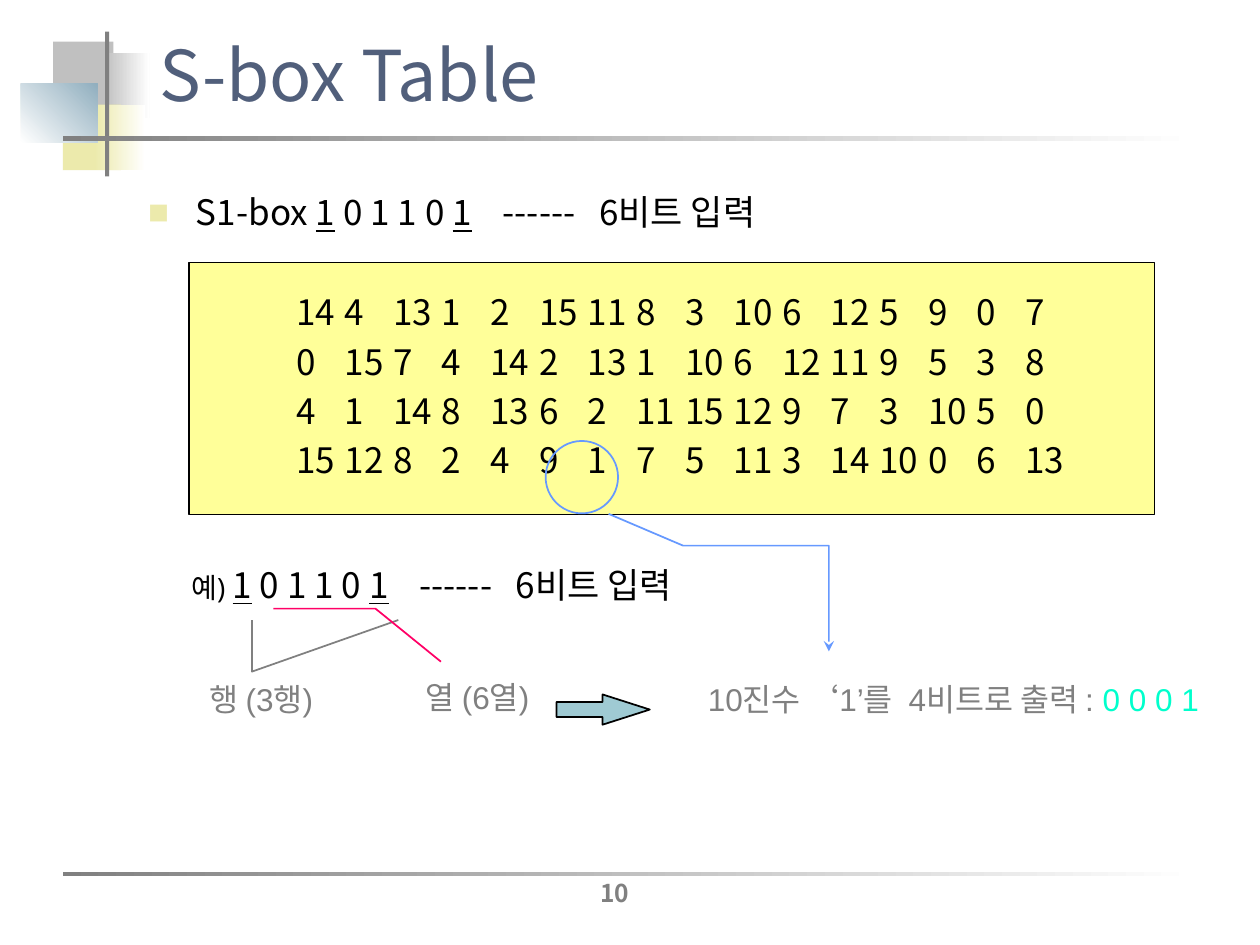
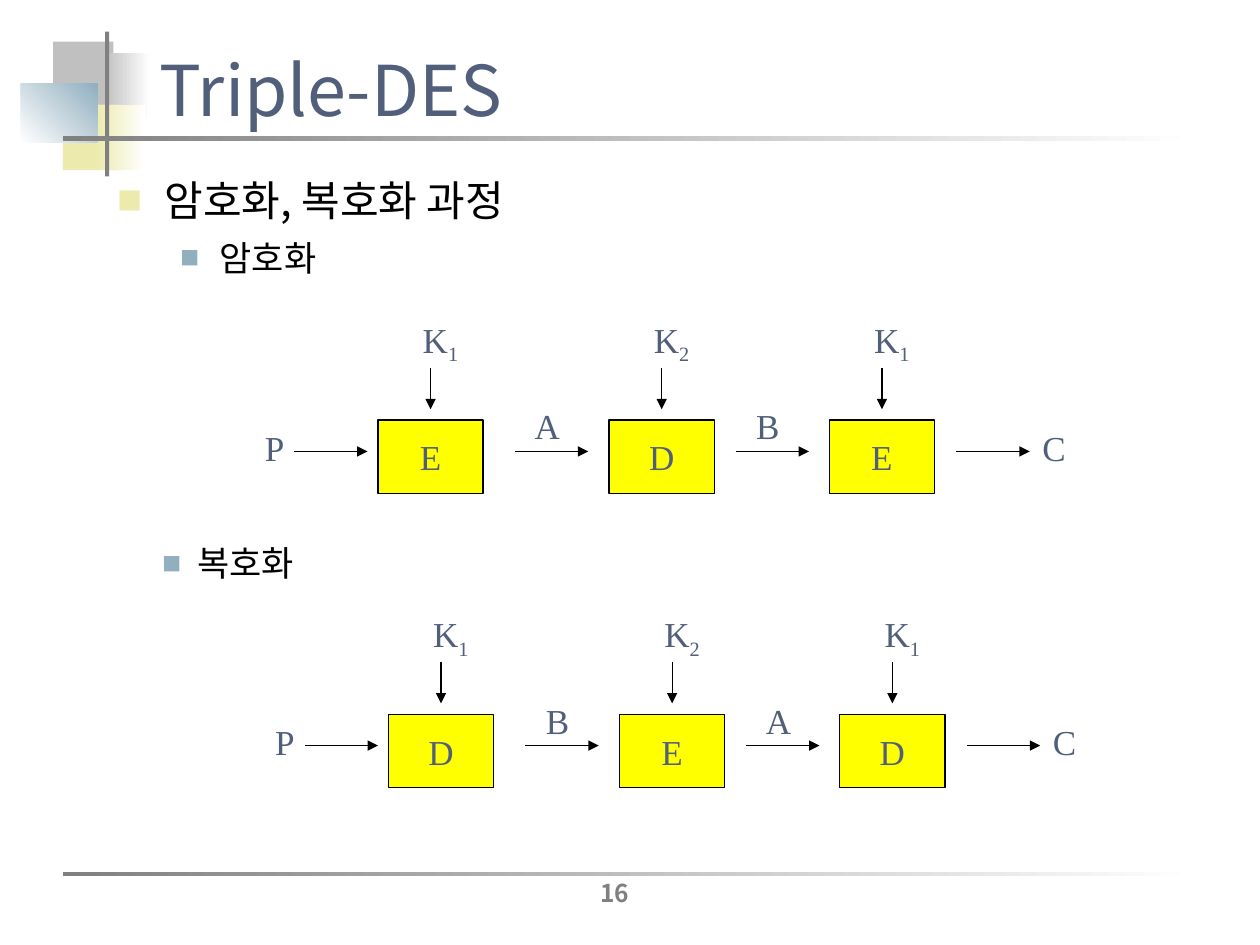
from lxml.etree import SubElement
from pptx import Presentation
from pptx.dml.color import RGBColor
from pptx.enum.shapes import MSO_CONNECTOR, MSO_SHAPE
from pptx.enum.text import MSO_ANCHOR, PP_ALIGN
from pptx.oxml.ns import qn
from pptx.util import Cm, Pt

COLORS = {
    "title": "515F7B",
    "text": "000000",
    "gray": "808080",
    "silver": "C0C0C0",
    "sand": "ECEAAC",
    "steel": "91AFBF",
    "white": "FFFFFF",
    "panel": "FFFF99",
    "block": "FFFF00",
    "arrow": "9FCAD3",
    "blue": "6699FF",
    "pink": "FF0066",
    "mint": "00FFCC",
}
SANS = "Noto Sans CJK KR"
LATIN = "Arial"
SERIF = "Times New Roman"


def rgb(name):
    return RGBColor.from_string(COLORS[name])


def add_xml(parent, tag, **attributes):
    return SubElement(parent, qn(tag), attributes)


class Deck:
    def __init__(self):
        self.presentation = Presentation()
        self.presentation.slide_width = Cm(25.4)
        self.presentation.slide_height = Cm(19.05)
        self.shapes = None

    def new_slide(self, title, number, title_height, anchor, line_spacing=None):
        layout = self.presentation.slide_layouts[6]
        self.slide = self.presentation.slides.add_slide(layout)
        self.shapes = self.slide.shapes
        self.decorate()
        frame = self.text_box(2.97, 0.43, 21.59, title_height, anchor=anchor)
        self.paragraph(frame, [(title, {})], size=40, color="title", line_spacing=line_spacing)
        frame = self.text_box(10.8, 17.15, 3.18, 1.27, anchor=MSO_ANCHOR.BOTTOM)
        self.paragraph(frame, [(number, {"bold": True})], size=14, color="gray",
                       align=PP_ALIGN.CENTER)

    def decorate(self):
        self.shape(1.07, 0.84, 1.22, 1.32, fill="silver")
        self.shape(2.11, 1.06, 0.91, 1.32, fill=("silver", "white", 0))
        self.shape(1.27, 2.11, 1.17, 1.32, fill="sand")
        self.shape(1.91, 2.11, 1.02, 1.32, fill=("sand", "white", 0))
        self.shape(0.42, 1.69, 1.55, 1.18, fill=("white", "steel", 45))
        self.shape(2.12, 0.64, 0.08, 2.92, fill="gray")
        for top in (2.75, 17.57):
            self.shape(1.27, top, 22.86, 0.09, fill=("gray", "white", 0))

    def paint(self, shape, fill=None, line=None, line_width=1):
        shape.shadow.inherit = False
        if fill is None:
            shape.fill.background()
        elif isinstance(fill, tuple):
            start, end, angle = fill
            shape.fill.gradient()
            shape.fill.gradient_angle = angle
            for stop, name in zip(shape.fill.gradient_stops, (start, end)):
                stop.color.rgb = rgb(name)
        else:
            shape.fill.solid()
            shape.fill.fore_color.rgb = rgb(fill)
        if line is None:
            shape.line.fill.background()
        else:
            shape.line.color.rgb = rgb(line)
            shape.line.width = Pt(line_width)

    def shape(self, left, top, width, height, kind=MSO_SHAPE.RECTANGLE, **paint):
        shape = self.shapes.add_shape(kind, Cm(left), Cm(top), Cm(width), Cm(height))
        self.paint(shape, **paint)
        return shape

    def polyline(self, points, color, head=None):
        points = [(Cm(x), Cm(y)) for x, y in points]
        builder = self.shapes.build_freeform(*points[0])
        builder.add_line_segments(points[1:], close=False)
        shape = builder.convert_to_shape()
        self.paint(shape, line=color)
        if head:
            self.arrowhead(shape, head)

    def arrowhead(self, shape, kind):
        add_xml(shape.line._get_or_add_ln(), "a:tailEnd", type=kind)

    def arrow(self, x1, y1, x2, y2):
        connector = self.shapes.add_connector(
            MSO_CONNECTOR.STRAIGHT, Cm(x1), Cm(y1), Cm(x2), Cm(y2))
        connector.line.color.rgb = rgb("text")
        connector.line.width = Pt(0.75)
        self.arrowhead(connector, "triangle")
        add_xml(connector._element.spPr, "a:effectLst")

    def text_box(self, left, top, width, height, wrap=True, anchor=MSO_ANCHOR.TOP):
        box = self.shapes.add_textbox(Cm(left), Cm(top), Cm(width), Cm(height))
        return self.frame(box, wrap, anchor)

    def frame(self, shape, wrap=True, anchor=MSO_ANCHOR.MIDDLE):
        frame = shape.text_frame
        frame.word_wrap = wrap
        frame.vertical_anchor = anchor
        return frame

    def paragraph(self, frame, runs, size=20, font=SANS, color="text", align=PP_ALIGN.LEFT,
                  line_spacing=None, before=0, after=0, indent=None, bullet=None, tabs=()):
        first = frame.paragraphs[0]
        paragraph = frame.add_paragraph() if first.runs else first
        paragraph.alignment = align
        paragraph.line_spacing = line_spacing
        paragraph.space_before = Pt(before)
        paragraph.space_after = Pt(after)
        properties = paragraph._p.get_or_add_pPr()
        if indent:
            properties.set("marL", str(Cm(indent[0])))
            properties.set("indent", str(Cm(indent[1])))
        if bullet:
            name, percent = bullet
            holder = add_xml(properties, "a:buClr")
            add_xml(holder, "a:srgbClr", val=COLORS[name])
            add_xml(properties, "a:buSzPct", val=str(percent * 1000))
            add_xml(properties, "a:buFont", typeface=SANS)
            add_xml(properties, "a:buChar", char="■")
        if tabs:
            stops = add_xml(properties, "a:tabLst")
            for position in tabs:
                add_xml(stops, "a:tab", pos=str(Cm(position)), algn="l")
        for text, style in runs:
            self.run(paragraph, text, **{"size": size, "font": font, "color": color, **style})

    def run(self, paragraph, text, size, font, color, bold=False, underline=False,
            spacing=0, baseline=0):
        run = paragraph.add_run()
        run.text = text
        run.font.size = Pt(size)
        run.font.name = font
        run.font.bold = bold
        run.font.underline = underline
        run.font.color.rgb = rgb(color)
        properties = run._r.get_or_add_rPr()
        add_xml(properties, "a:ea", typeface=SANS)
        if spacing:
            properties.set("spc", str(spacing * 100))
        if baseline:
            properties.set("baseline", str(baseline * 1000))

    def label(self, left, top, width, runs):
        frame = self.text_box(left, top, width, 1.09, wrap=False, anchor=MSO_ANCHOR.MIDDLE)
        self.paragraph(frame, runs, font=SERIF, color="title", align=PP_ALIGN.CENTER)

    def cipher_chain(self, left, top, blocks, middle_labels):
        self.shapes = self.slide.shapes.add_group_shape().shapes
        for offset, name, key in zip((2.54, 7.2, 11.64), blocks, "121"):
            x = left + offset
            block = self.shape(x, top + 2.12, 2.12, 1.48, fill="block", line="text",
                               line_width=0.75)
            self.paragraph(self.frame(block, wrap=False), [(name, {})], font=SERIF,
                           color="title", align=PP_ALIGN.CENTER)
            self.arrow(x + 1.06, top + 1.06, x + 1.06, top + 1.9)
            self.label(x + 0.64, top, 1.24, [("K", {}), (key, {"baseline": -25})])
        for index in range(4):
            x = left + 0.85 + 4.45 * index
            self.arrow(x, top + 2.75, x + 1.48, top + 2.75)
        self.label(left, top + 2.12, 0.91, [("P", {})])
        self.label(left + 15.67, top + 2.12, 1, [("C", {})])
        for index, name in enumerate(middle_labels):
            self.label(left + 5.45 + 4.45 * index, top + 1.69, 1, [(name, {})])
        self.shapes = self.slide.shapes


deck = Deck()

deck.new_slide("S-box Table", "10", 2.12, MSO_ANCHOR.MIDDLE)
SIX_BIT_INPUT = [
    ("1", {"underline": True}),
    (" 0 1 1 0 ", {}),
    ("1", {"underline": True}),
    (" ", {"spacing": 13}),
    ("------", {}),
    (" ", {"spacing": 9}),
    ("6비트 입력", {}),
]
S_BOX = [
    (14, 4, 13, 1, 2, 15, 11, 8, 3, 10, 6, 12, 5, 9, 0, 7),
    (0, 15, 7, 4, 14, 2, 13, 1, 10, 6, 12, 11, 9, 5, 3, 8),
    (4, 1, 14, 8, 13, 6, 2, 11, 15, 12, 9, 7, 3, 10, 5, 0),
    (15, 12, 8, 2, 4, 9, 1, 7, 5, 11, 3, 14, 10, 0, 6, 13),
]
panel = deck.shape(3.81, 5.29, 19.47, 5.08, fill="panel", line="text", line_width=0.75)
panel_frame = deck.frame(panel)
panel_frame.margin_left = Cm(2.16)
column_stops = [0.98 * column for column in range(1, 16)]
for row in S_BOX:
    deck.paragraph(panel_frame, [("\t".join(map(str, row)), {})], line_spacing=0.9,
                   before=6, after=0.6, tabs=column_stops)

heading = deck.text_box(2.75, 3.81, 21.59, 1.07)
deck.paragraph(heading, [("S1-box ", {})] + SIX_BIT_INPUT, line_spacing=0.9,
               indent=(0.95, -0.95), bullet=("sand", 60))

deck.polyline([(5.08, 12.5), (5.08, 13.54), (8.03, 12.5)], "gray")
deck.polyline([(5.51, 12.27), (7.57, 12.27), (8.89, 13.34)], "pink")
for left, top, width, text in ((3.81, 13.58, 2.92, "행 (3행)"), (8.26, 13.55, 2.74, "열 (6열)")):
    deck.paragraph(deck.text_box(left, top, width, 1.02), [(text, {})], size=18, font=LATIN,
                   color="gray", align=PP_ALIGN.CENTER)

pointer = deck.shape(11.22, 14, 1.88, 0.61, MSO_SHAPE.RIGHT_ARROW, fill="arrow", line="text")
pointer.adjustments[1] = 1.56
deck.shape(11, 8.89, 1.46, 1.46, MSO_SHAPE.OVAL, line="blue")
deck.polyline([(12.27, 10.36), (13.77, 11), (16.71, 11), (16.71, 13.13)], "blue", "stealth")

output = deck.text_box(13.49, 13.58, 11, 1.02)
deck.paragraph(output, [
    ("10진수 ‘1’를", {}),
    (" ", {"spacing": 5}),
    ("4비트로 출력 : ", {}),
    ("0 0 0 1", {"color": "mint"}),
], size=18, font=LATIN, color="gray", indent=(0, 0.53))

example = deck.text_box(3.61, 11.23, 20.12, 1.09)
deck.paragraph(example, [("예) ", {"size": 16, "font": "Open Sans"})] + SIX_BIT_INPUT)

deck.new_slide("Triple-DES", "16", 2.33, MSO_ANCHOR.BOTTOM, line_spacing=1.2)
body = deck.text_box(2.12, 3.39, 22.23, 2.75)
deck.paragraph(body, [("암호화, 복호화 과정", {})], size=24, after=0.6,
               indent=(0.95, -0.95), bullet=("sand", 60))
deck.paragraph(body, [("암호화", {})], before=6, indent=(2.06, -0.79), bullet=("steel", 55))
deck.cipher_chain(5.08, 6.35, "EDE", "AB")

decryption = deck.text_box(2.33, 10.8, 12.9, 1.09)
deck.paragraph(decryption, [("복호화", {})], indent=(1.4, -0.71), bullet=("steel", 55))
deck.cipher_chain(5.29, 12.28, "DED", "BA")

deck.presentation.save("out.pptx")
